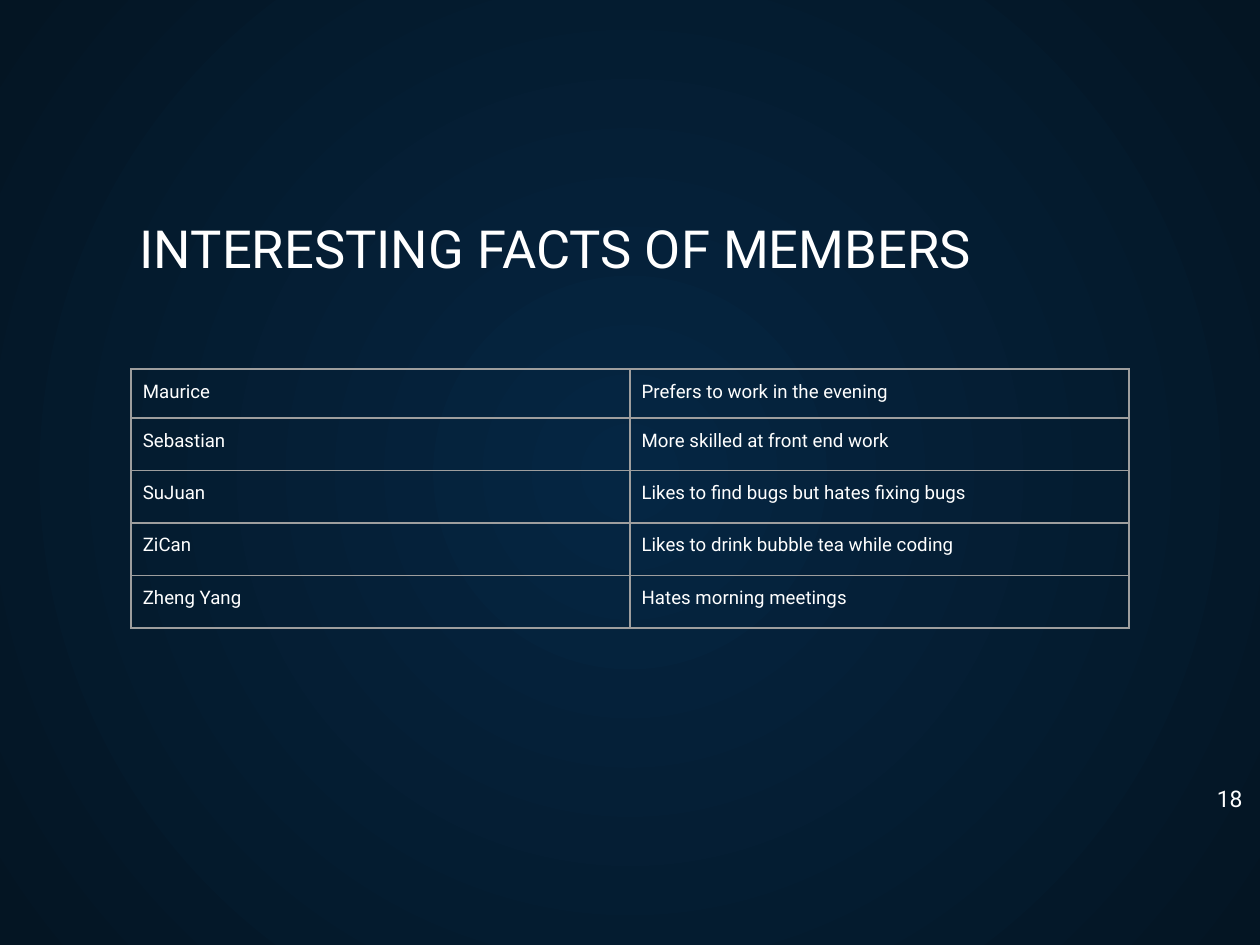
from dataclasses import dataclass

import pptx
import pptx.dml.color
import pptx.enum.text
import pptx.oxml
import pptx.oxml.ns
import pptx.util

Pt = pptx.util.Pt
RGB = pptx.dml.color.RGBColor.from_string
ALIGN = pptx.enum.text.PP_ALIGN
ANCHOR = pptx.enum.text.MSO_ANCHOR
qn = pptx.oxml.ns.qn
NS = pptx.oxml.ns.nsdecls("a")


@dataclass(frozen=True)
class Theme:
    font: str = "Roboto"
    text: str = "FFFFFF"
    border: str = "9E9E9E"
    center: str = "052643"
    edge: str = "041523"
    title_size: float = 22.5
    number_size: float = 9.8
    table_size: float = 8
    border_width: float = 0.75
    inset: float = 5


THEME = Theme()

FACTS = [
    ("Maurice", "Prefers to work in the evening"),
    ("Sebastian", "More skilled at front end work"),
    ("SuJuan", "Likes to find bugs but hates fixing bugs"),
    ("ZiCan", "Likes to drink bubble tea while coding"),
    ("Zheng Yang", "Hates morning meetings"),
]


def set_background(s):
    """Fill the slide with a radial gradient from the centre outwards."""
    fill = s.background.fill
    fill.gradient()
    for stop, color in zip(fill.gradient_stops, (THEME.center, THEME.edge)):
        stop.color.rgb = RGB(color)
    grad = s.element.find(".//" + qn("a:gradFill"))
    grad.replace(grad.find(qn("a:lin")), pptx.oxml.parse_xml(
        f'<a:path {NS} path="circle">'
        '<a:fillToRect l="50000" t="50000" r="50000" b="50000"/></a:path>'))


def set_insets(target):
    """Give a text frame or a table cell the same inset on every side."""
    target.margin_left = target.margin_right = Pt(THEME.inset)
    target.margin_top = target.margin_bottom = Pt(THEME.inset)


def add_run(p, text, size):
    r = p.add_run()
    r.text = text
    r.font.name = THEME.font
    r.font.size = Pt(size)
    r.font.color.rgb = RGB(THEME.text)


def add_text(s, text, box, size, align=ALIGN.LEFT, anchor=ANCHOR.TOP):
    tf = s.shapes.add_textbox(*map(Pt, box)).text_frame
    tf.word_wrap = True
    tf.vertical_anchor = anchor
    set_insets(tf)
    p = tf.paragraphs[0]
    p.alignment = align
    add_run(p, text, size)


def set_borders(cell):
    tcPr = cell._tc.get_or_add_tcPr()
    for side in "LRTB":
        tcPr.append(pptx.oxml.parse_xml(
            f'<a:ln{side} {NS} w="{Pt(THEME.border_width)}"><a:solidFill>'
            f'<a:srgbClr val="{THEME.border}"/></a:solidFill></a:ln{side}>'))


def add_table(s, rows, left, top, col_width, row_heights):
    table = s.shapes.add_table(
        len(rows), len(rows[0]), Pt(left), Pt(top),
        Pt(col_width * len(rows[0])), Pt(sum(row_heights))).table
    table.first_row = table.horz_banding = False
    for col in table.columns:
        col.width = Pt(col_width)
    for row, height, texts in zip(table.rows, row_heights, rows):
        row.height = Pt(height)
        for cell, text in zip(row.cells, texts):
            set_borders(cell)
            cell.fill.background()
            set_insets(cell)
            add_run(cell.text_frame.paragraphs[0], text, THEME.table_size)


def main():
    prs = pptx.Presentation()
    prs.slide_width, prs.slide_height = Pt(540), Pt(405)
    s = prs.slides.add_slide(prs.slide_layouts[6])
    set_background(s)
    add_text(s, "INTERESTING FACTS OF MEMBERS", (54.9, 88.5, 463, 36),
             THEME.title_size, anchor=ANCHOR.BOTTOM)
    add_text(s, "18", (505, 331.2, 32.5, 23), THEME.number_size, ALIGN.RIGHT)
    add_table(s, FACTS, 56.2, 158.2, 213.8, [21] + [22.5] * (len(FACTS) - 1))
    prs.save("out.pptx")


if __name__ == "__main__":
    main()
